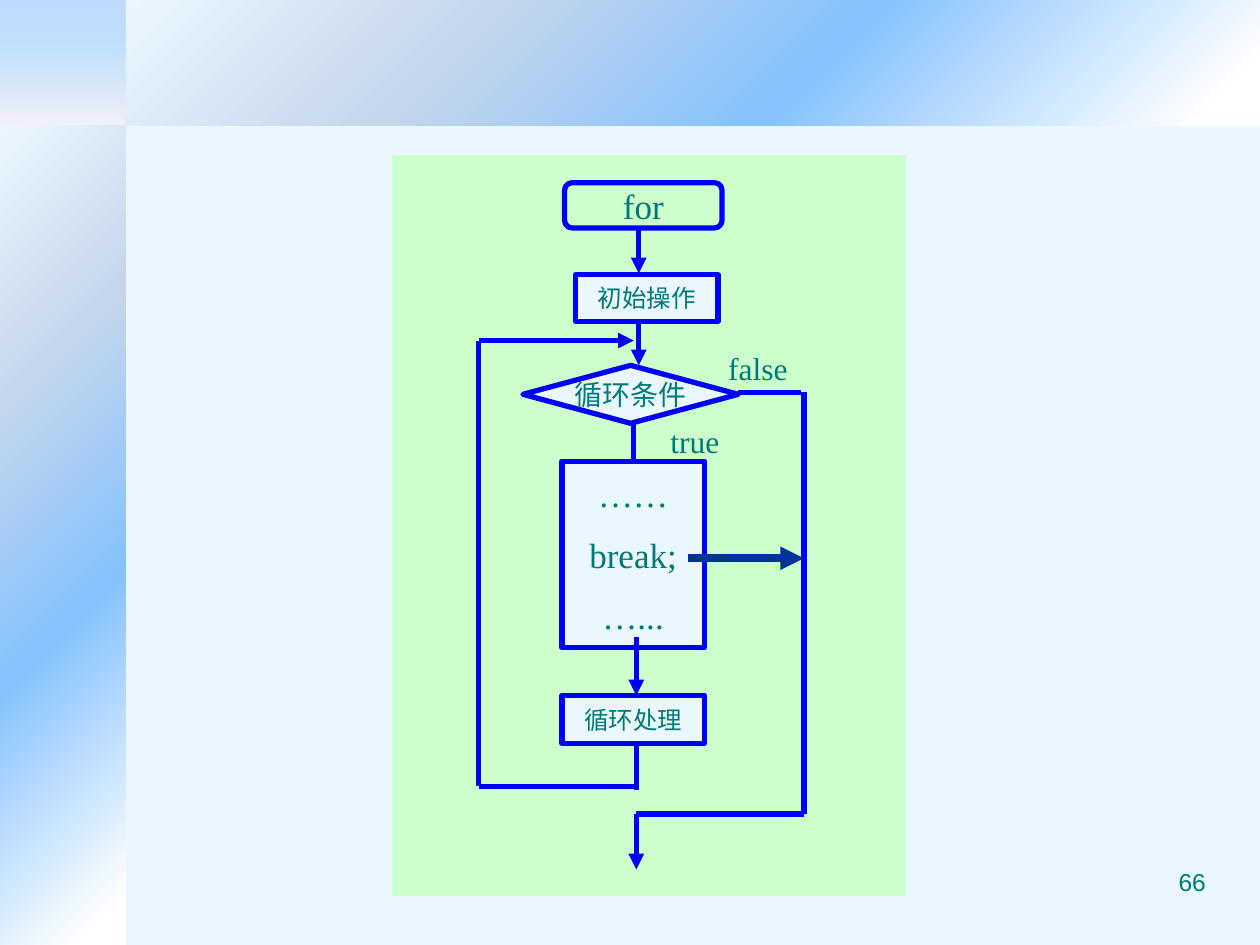
"""Build a flowchart slide showing how break leaves a for loop."""
from dataclasses import dataclass
from typing import Optional

from lxml import etree
from pptx import Presentation
from pptx.dml.color import RGBColor
from pptx.enum.shapes import MSO_CONNECTOR, MSO_SHAPE
from pptx.enum.text import MSO_ANCHOR, PP_ALIGN
from pptx.oxml.ns import qn
from pptx.util import Pt

RECT = MSO_SHAPE.RECTANGLE
DECISION = MSO_SHAPE.FLOWCHART_DECISION
ROUNDED = MSO_SHAPE.FLOWCHART_ALTERNATE_PROCESS
STRAIGHT = MSO_CONNECTOR.STRAIGHT
CENTER, RIGHT = PP_ALIGN.CENTER, PP_ALIGN.RIGHT
MIDDLE, TOP = MSO_ANCHOR.MIDDLE, MSO_ANCHOR.TOP

PALE = RGBColor(0xEB, 0xF7, 0xFF)
GREEN = RGBColor(0xCC, 0xFF, 0xCC)
BLUE = RGBColor(0x00, 0x00, 0xFF)
NAVY = RGBColor(0x00, 0x33, 0x99)
TEAL = RGBColor(0x00, 0x7A, 0x77)
SKY = RGBColor(0x85, 0xC2, 0xFF)
MIST = RGBColor(0xC4, 0xD6, 0xEB)
AZURE = RGBColor(0x5E, 0x9E, 0xFF)
PINK = RGBColor(0xFF, 0xEB, 0xFA)
WHITE = RGBColor(0xFF, 0xFF, 0xFF)

SERIF, SANS = "Times New Roman", "Arial"
LEFT_X, MID_X, ENTRY_X, EXIT_X = 273.6, 363.6, 365, 459.4
LOOP_TOP, LOOP_END, EXIT_Y = 194.6, 449.3, 465.1
FALSE_Y, BREAK_Y = 224.2, 319

DIAGONAL = [(0, PALE, 100), (30, MIST, 100), (60, SKY, 100), (95, WHITE, 100)]
CORNER = [(0, AZURE, 31), (40, SKY, 40), (70, MIST, 44), (100, PINK, 50)]


@dataclass
class Box:
    x: float
    y: float
    w: float
    h: float
    text: str = ""
    size: float = 14
    kind: int = RECT
    fill: Optional[RGBColor] = PALE
    line: Optional[RGBColor] = BLUE
    wrap: bool = True


@dataclass
class Label:
    x: float
    y: float
    w: float
    h: float
    text: str
    size: float = 18
    font: str = SERIF
    align: int = CENTER
    anchor: int = MIDDLE
    wrap: bool = True


@dataclass
class Line:
    x1: float
    y1: float
    x2: float
    y2: float
    arrow: bool = False
    color: RGBColor = BLUE
    width: float = 3


BOXES = [
    Box(223.9, 88.6, 293.8, 423.4, fill=GREEN, line=None),
    Box(322.6, 104.4, 90, 25.9, "for", 20, ROUNDED, None, wrap=False),
    Box(329, 157, 81.4, 26.6, "初始操作"),
    Box(298.8, 208.8, 123.1, 33.1, "循环条件", 16, DECISION, wrap=False),
    Box(321.1, 263.5, 81.4, 106.6, "……\nbreak;\n…...", 20),
    Box(321.1, 397.4, 81.4, 27.4, "循环处理"),
]
LABELS = [
    Label(409, 195.8, 48.2, 28.8, "false", wrap=False),
    Label(351.4, 237.6, 91.4, 28.8, "true"),
    Label(516.2, 491.8, 180, 37.4, "66", 14, SANS, RIGHT, TOP),
]
LINES = [
    Line(ENTRY_X, 130.3, ENTRY_X, 156.2, True),
    Line(ENTRY_X, 183, ENTRY_X, 208.8, True),
    Line(362.2, 241.9, 362.2, 263.5),
    Line(MID_X, 364.3, MID_X, 397.4, True),
    Line(MID_X, 425.5, MID_X, 451.2),
    Line(MID_X, LOOP_END, LEFT_X, LOOP_END),
    Line(LEFT_X, LOOP_TOP, LEFT_X, LOOP_END),
    Line(LEFT_X, LOOP_TOP, 362.2, LOOP_TOP, True),
    Line(421.9, FALSE_Y, 458, FALSE_Y),
    Line(EXIT_X, FALSE_Y, EXIT_X, EXIT_Y),
    Line(EXIT_X, EXIT_Y, MID_X, EXIT_Y),
    Line(MID_X, EXIT_Y, MID_X, 496.8, True),
    Line(393.1, BREAK_Y, EXIT_X, BREAK_Y, True, NAVY, 4.5),
]


def write(sp, text: str, size: float, font: str, align: int, anchor: int, wrap: bool) -> None:
    """Fill a shape with formatted paragraphs."""
    tf = sp.text_frame
    tf.text = text
    tf.word_wrap = wrap
    tf.vertical_anchor = anchor
    for i, p in enumerate(tf.paragraphs):
        p.alignment = align
        if i:
            p.space_before = Pt(11)
        for r in p.runs:
            r.font.size = Pt(size)
            r.font.name = font
            r.font.color.rgb = TEAL


def add_box(s, box: Box) -> None:
    """Draw one flowchart box."""
    sp = s.shapes.add_shape(box.kind, Pt(box.x), Pt(box.y), Pt(box.w), Pt(box.h))
    sp.shadow.inherit = False
    if box.fill is None:
        sp.fill.background()
    else:
        sp.fill.solid()
        sp.fill.fore_color.rgb = box.fill
    if box.line is None:
        sp.line.fill.background()
    else:
        sp.line.color.rgb = box.line
        sp.line.width = Pt(3)
    if box.text:
        write(sp, box.text, box.size, SERIF, CENTER, MIDDLE, box.wrap)


def add_label(s, label: Label) -> None:
    """Draw one free-standing text."""
    sp = s.shapes.add_textbox(Pt(label.x), Pt(label.y), Pt(label.w), Pt(label.h))
    write(sp, label.text, label.size, label.font, label.align, label.anchor, label.wrap)


def add_line(s, line: Line) -> None:
    """Draw one flow line, with an arrowhead if asked."""
    sp = s.shapes.add_connector(STRAIGHT, Pt(line.x1), Pt(line.y1), Pt(line.x2), Pt(line.y2))
    sp.line.color.rgb = line.color
    sp.line.width = Pt(line.width)
    if line.arrow:
        etree.SubElement(sp.line._get_or_add_ln(), qn("a:tailEnd"), type="triangle")
    etree.SubElement(sp._element.spPr, qn("a:effectLst"))


def add_band(s, x: float, y: float, w: float, h: float, stops: list, angle: int) -> None:
    """Draw one gradient band of the background."""
    sp = s.shapes.add_shape(RECT, Pt(x), Pt(y), Pt(w), Pt(h))
    sp.shadow.inherit = False
    sp.line.fill.background()
    sp.fill.gradient()
    grad = sp._element.spPr.find(qn("a:gradFill"))
    for child in list(grad):
        grad.remove(child)
    gs_list = etree.SubElement(grad, qn("a:gsLst"))
    for pos, color, alpha in stops:
        gs = etree.SubElement(gs_list, qn("a:gs"), pos=str(pos * 1000))
        clr = etree.SubElement(gs, qn("a:srgbClr"), val=str(color))
        if alpha < 100:
            etree.SubElement(clr, qn("a:alpha"), val=str(alpha * 1000))
    etree.SubElement(grad, qn("a:lin"), ang=str(angle * 60000), scaled="0")


def main() -> None:
    """Assemble and save the slide."""
    prs = Presentation()
    prs.slide_width, prs.slide_height = Pt(720), Pt(540)
    s = prs.slides.add_slide(prs.slide_layouts[6])
    s.background.fill.solid()
    s.background.fill.fore_color.rgb = PALE
    add_band(s, 0, 0, 72, 72, CORNER, 90)
    add_band(s, 72, 0, 648, 72, DIAGONAL, 45)
    add_band(s, 0, 72, 72, 468, DIAGONAL, 45)
    for box in BOXES:
        add_box(s, box)
    for label in LABELS:
        add_label(s, label)
    for line in LINES:
        add_line(s, line)
    prs.save("out.pptx")


if __name__ == "__main__":
    main()
